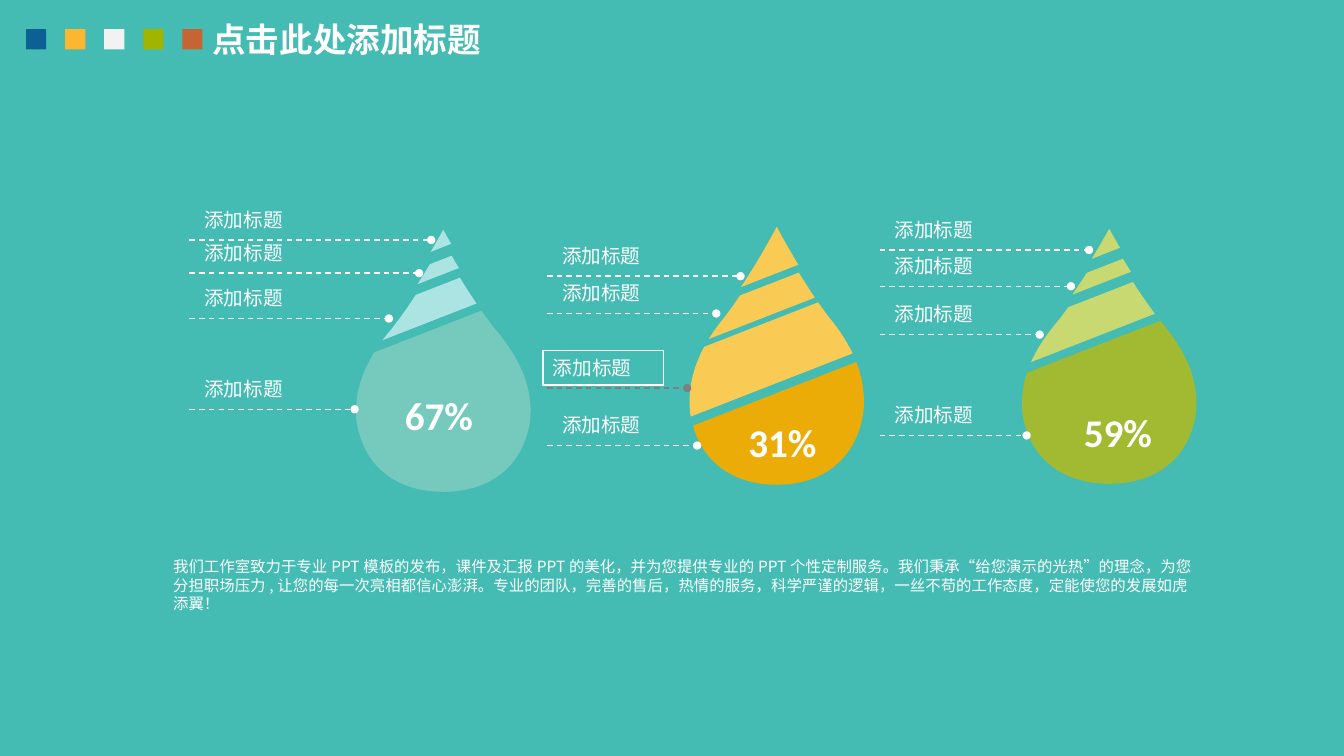
"""Build a slide with three sliced drops, labelled leader lines and a caption."""
from lxml.etree import SubElement
from pptx import Presentation
from pptx.dml.color import RGBColor
from pptx.enum.dml import MSO_LINE
from pptx.enum.shapes import MSO_CONNECTOR, MSO_SHAPE
from pptx.enum.text import MSO_ANCHOR, PP_ALIGN
from pptx.oxml.ns import qn
from pptx.util import Inches, Pt

WHITE, GREY, BACKGROUND = "FFFFFF", "7F7F7F", "44BCB3"
CJK, LATIN = "Noto Sans CJK SC", "Calibri"
TITLE = "点击此处添加标题"
LABEL = "添加标题"
CAPTION = (
    "我们工作室致力于专业PPT模板的发布，课件及汇报PPT的美化，并为您提供专业的PPT个性定制服务。"
    "我们秉承“给您演示的光热”的理念，为您分担职场压力,让您的每一次亮相都信心澎湃。"
    "专业的团队，完善的售后，热情的服务，科学严谨的逻辑，一丝不苟的工作态度，定能使您的发展如虎添翼！"
)
SQUARES = ["0C6094", "FCB62F", "F2F2F2", "A1B400", "C66433"]

DROP_HEIGHT, CUT_SLOPE, LABEL_RISE = 2.41, -0.39, 0.37
HALF_DROP = [
    [(0, 0), (0.16, 0.29), (0.33, 0.56), (0.51, 0.79)],
    [(0.51, 0.79), (0.74, 1.06), (0.9, 1.36), (0.86, 1.72)],
    [(0.86, 1.72), (0.78, 2.2), (0.42, DROP_HEIGHT), (0, DROP_HEIGHT)],
]
# Bands: upper cut and lower cut on the drop's axis, then upward lift.
DROPS = [
    {
        "percent": "67%", "percent_at": (3.92, 3.83), "axis": 4.4, "tip": 2.47, "bottom": 4.88,
        "base_colour": "76CABD", "slice_colour": "ABE4E3", "leader_left": 1.88, "boxed": None,
        "leaders": [(4.28, 2.38), (4.16, 2.71), (3.86, 3.16), (3.52, 4.06)],
        "bands": [(0, 2.45, 0.19), (2.57, 2.72, 0.08), (2.82, 3.14, 0), (3.23, 5, 0)],
    },
    {
        "percent": "31%", "percent_at": (7.33, 4.1), "axis": 7.71, "tip": 2.32, "bottom": 4.81,
        "base_colour": "EBAC07", "slice_colour": "FACB54", "leader_left": 5.43, "boxed": 2,
        "leaders": [(7.35, 2.74), (7.11, 3.11), (6.82, 3.85), (6.92, 4.42)],
        "bands": [(0, 2.71, 0.07), (2.79, 3.1, 0), (3.16, 3.8, 0), (3.9, 6, 0)],
    },
    {
        "percent": "59%", "percent_at": (10.66, 4), "axis": 11.01, "tip": 2.4, "bottom": 4.8,
        "base_colour": "A2B932", "slice_colour": "C8D971", "leader_left": 8.73, "boxed": None,
        "leaders": [(10.81, 2.48), (10.63, 2.84), (10.32, 3.32), (10.19, 4.32)],
        "bands": [(0, 2.5, 0.13), (2.62, 2.78, 0.07), (2.89, 3.29, 0), (3.38, 6, 0)],
    },
]


def paint(fill, colour):
    fill.solid()
    fill.fore_color.rgb = RGBColor.from_string(colour)


def silhouette(steps=16):
    right = [(0, 0)]
    for curve in HALF_DROP:
        for t in (i / steps for i in range(1, steps + 1)):
            weights = [(1 - t) ** 3, 3 * t * (1 - t) ** 2, 3 * t * t * (1 - t), t ** 3]
            right.append(tuple(sum(w * p[axis] for w, p in zip(weights, curve)) for axis in (0, 1)))
    return right + [(-x, y) for x, y in right[-2:0:-1]]


def clip(points, axis, cut, side):
    """Keep the points below the cut for side 1, above it for side -1."""
    def depth(point):
        return side * (point[1] - cut - CUT_SLOPE * (point[0] - axis))

    kept = []
    for start, end in zip(points, points[1:] + points[:1]):
        before, after = depth(start), depth(end)
        if before >= 0:
            kept.append(start)
        if before * after < 0:
            share = before / (before - after)
            kept.append(tuple(a + share * (b - a) for a, b in zip(start, end)))
    return kept


def add_piece(shapes, points, colour):
    start, *rest = [(Inches(x), Inches(y)) for x, y in points]
    builder = shapes.build_freeform(*start)
    builder.add_line_segments(rest, close=True)
    piece = builder.convert_to_shape()
    piece.shadow.inherit = False
    paint(piece.fill, colour)
    piece.line.fill.background()


def add_leader(shapes, left, right, y, colour):
    leader = shapes.add_connector(MSO_CONNECTOR.STRAIGHT, *map(Inches, (left, y, right, y)))
    paint(leader.line.fill, colour)
    for key, value in {"width": Pt(1), "dash_style": MSO_LINE.DASH}.items():
        setattr(leader.line, key, value)
    SubElement(leader.line._ln, qn("a:tailEnd"), type="oval")
    SubElement(leader._element.spPr, qn("a:effectLst"))


def write(box, text, size, font=CJK, bold=False, wrap=True):
    frame = box.text_frame
    for key, value in {"word_wrap": wrap, "vertical_anchor": MSO_ANCHOR.TOP}.items():
        setattr(frame, key, value)
    paragraph = frame.paragraphs[0]
    paragraph.alignment = PP_ALIGN.LEFT
    if font == CJK:
        paragraph.line_spacing = Pt(size * 1.2)
    run = paragraph.add_run()
    run.text = text
    for key, value in {"size": Pt(size), "name": font, "bold": bold}.items():
        setattr(run.font, key, value)
    paint(run.font.fill, WHITE)
    SubElement(run._r.get_or_add_rPr(), qn("a:ea"), typeface=font)


def add_text(shapes, bounds, *args, **options):
    write(shapes.add_textbox(*map(Inches, bounds)), *args, **options)


def add_rectangle(shapes, bounds):
    rectangle = shapes.add_shape(MSO_SHAPE.RECTANGLE, *map(Inches, bounds))
    rectangle.shadow.inherit = False
    return rectangle


def add_drop(shapes, drop):
    axis, tip, left = drop["axis"], drop["tip"], drop["leader_left"]
    stretch = (drop["bottom"] - tip) / DROP_HEIGHT
    for upper, lower, lift in drop["bands"]:
        outline = [(axis + x, tip - lift + y * stretch) for x, y in silhouette()]
        band = clip(clip(outline, axis, upper, 1), axis, lower, -1)
        is_base = lower > drop["bottom"]
        add_piece(shapes, band, drop["base_colour" if is_base else "slice_colour"])
    for index, (right, y) in enumerate(drop["leaders"]):
        boxed = index == drop["boxed"]
        add_leader(shapes, left, right, y, GREY if boxed else WHITE)
        if boxed:
            frame = add_rectangle(shapes, (left - 0.04, y - LABEL_RISE, 1.2, 0.34))
            frame.fill.background()
            paint(frame.line.fill, WHITE)
            frame.line.width = Pt(0.75)
            write(frame, LABEL, 14)
        else:
            add_text(shapes, (left + 0.05, y - LABEL_RISE, 0.98, 0.34), LABEL, 14, wrap=False)
    add_text(shapes, (*drop["percent_at"], 0.9, 0.57), drop["percent"], 28, font=LATIN, bold=True)


def main():
    deck = Presentation()
    deck.slide_width, deck.slide_height = Inches(13.34), Inches(7.5)
    slide = deck.slides.add_slide(deck.slide_layouts[6])
    paint(slide.background.fill, BACKGROUND)
    shapes = slide.shapes
    add_text(shapes, (2.01, 0.14, 3.3, 0.5), TITLE, 24, bold=True)
    for index, colour in enumerate(SQUARES):
        square = add_rectangle(shapes, (0.26 + index * 1.55 / 4, 0.29, 0.2, 0.2))
        paint(square.fill, colour)
        square.line.fill.background()
    for drop in DROPS:
        add_drop(shapes, drop)
    add_text(shapes, (1.62, 5.48, 10.4, 0.65), CAPTION, 11)
    deck.save("out.pptx")


if __name__ == "__main__":
    main()
